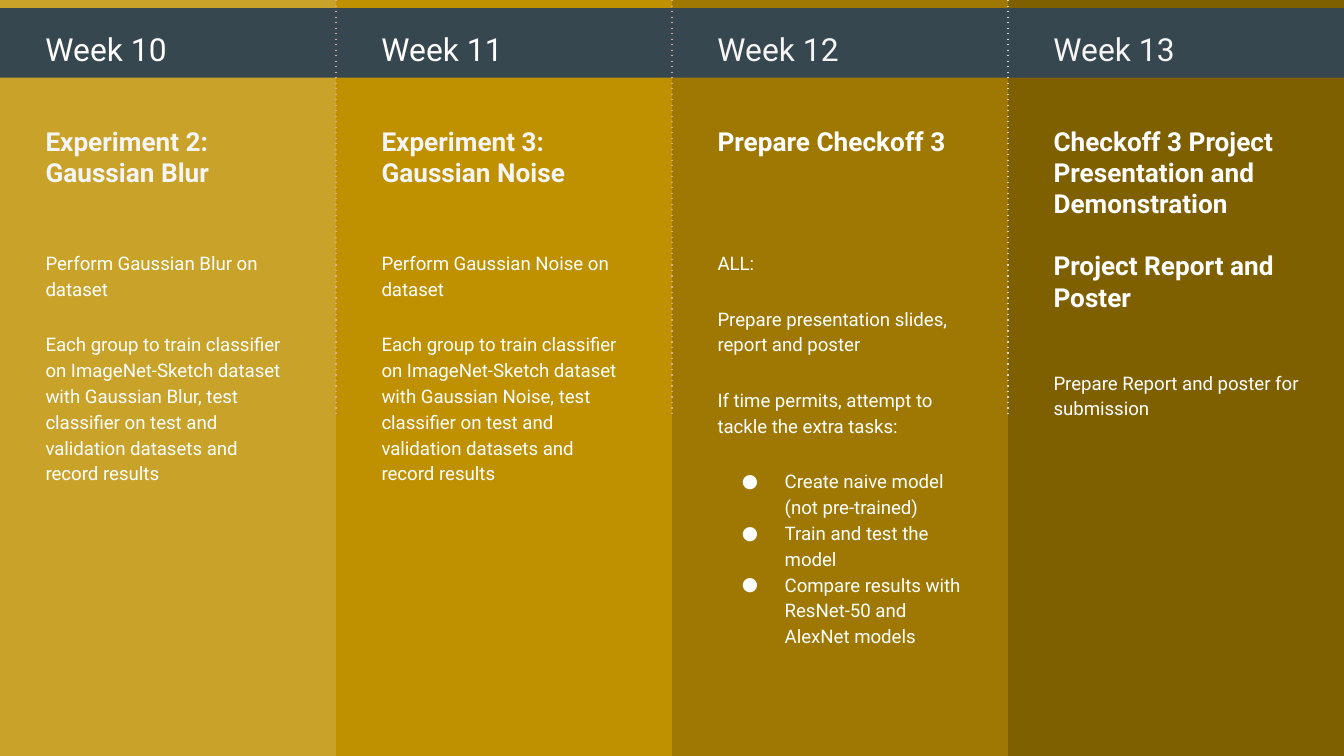
from lxml import etree
from pptx import Presentation, util as u
from pptx.dml.color import RGBColor
from pptx.enum import dml, shapes, text
from pptx.oxml.ns import qn

COLORS = {"slate": "37474F", "white": "FFFFFF", "smoke": "F5F5F5",
          "silver": "D9D9D9", "rose": "EDA29B", "gold": "C9A22A",
          "amber": "BF9000", "ochre": "9E7802", "bronze": "7F6000"}
WIDTH, HEIGHT = 720, 405
COLUMN = WIDTH / 4
STRIP_HEIGHT, HEADER_BOTTOM = 4.3, 41.6
TEXT_INSET, TEXT_WIDTH, MARGIN = 17.5, 146, 7.2
DIVIDER_END = 223
BULLET_INDENT, BULLET_HANG = 36, 23

FORMATS = {
    "week": {"font": {"size": u.Pt(17)},
             "para": {"line_spacing": 1.15}},
    "title": {"font": {"size": u.Pt(14), "bold": True},
              "para": {"space_before": u.Pt(16.4)}},
    "body": {"font": {"size": u.Pt(10)},
             "para": {"line_spacing": 1.15, "space_before": u.Pt(16)}},
    "bullet": {"font": {"size": u.Pt(10)},
               "para": {"line_spacing": 1.15, "space_before": u.Pt(0)}},
}


def rgb(name):
    return RGBColor.from_string(COLORS[name])


def set_all(target, values):
    for name, value in values.items():
        setattr(target, name, value)


class SlideBuilder:
    """Holds the font, the slide and the group that new elements go into."""

    def __init__(self, slide, font="Roboto"):
        self.slide = slide
        self.font = font
        self.shapes = slide.shapes

    def background(self, color):
        fill = self.slide.background.fill
        fill.solid()
        fill.fore_color.rgb = rgb(color)

    def start_group(self):
        self.shapes = self.slide.shapes.add_group_shape().shapes

    def panel(self, left, top, width, height, color):
        shape = self.shapes.add_shape(shapes.MSO_SHAPE.RECTANGLE,
                                      *map(u.Pt, (left, top, width, height)))
        shape.shadow.inherit = False
        shape.fill.solid()
        shape.fill.fore_color.rgb = rgb(color)
        shape.line.fill.background()

    def divider(self, left, color):
        line = self.shapes.add_connector(
            shapes.MSO_CONNECTOR.STRAIGHT,
            *map(u.Pt, (left, 0, left, DIVIDER_END)))
        line.line.color.rgb = rgb(color)
        set_all(line.line, {"width": u.Pt(0.75),
                            "dash_style": dml.MSO_LINE.ROUND_DOT})
        # The preset "dot" has no public enum member of its own.
        line.line._ln.find(qn("a:prstDash")).set("val", "dot")
        etree.SubElement(line._element.spPr, qn("a:effectLst"))

    def bullet(self, para):
        props = para._p.get_or_add_pPr()
        props.set("marL", str(u.Pt(BULLET_INDENT)))
        props.set("indent", str(-u.Pt(BULLET_HANG)))
        tint = etree.SubElement(props, qn("a:buClr"))
        etree.SubElement(tint, qn("a:srgbClr"), val=COLORS["white"])
        etree.SubElement(props, qn("a:buFont"), typeface=self.font)
        etree.SubElement(props, qn("a:buChar"), char="●")

    def text(self, left, top, width, height, lines, color):
        """Write (format name, wording) lines; the first bullet keeps a gap."""
        box = self.shapes.add_textbox(*map(u.Pt, (left, top, width, height)))
        frame = box.text_frame
        set_all(frame, {"word_wrap": True,
                        "vertical_anchor": text.MSO_ANCHOR.TOP,
                        "margin_left": u.Pt(MARGIN), "margin_right": u.Pt(MARGIN),
                        "margin_top": u.Pt(MARGIN), "margin_bottom": u.Pt(MARGIN)})
        previous = None
        for kind, wording in lines:
            para = frame.paragraphs[0] if previous is None else frame.add_paragraph()
            if kind == "bullet":
                self.bullet(para)
            set_all(para, FORMATS[kind]["para"])
            if previous is None:
                para.space_before = u.Pt(0)
            elif kind == "bullet" and previous != "bullet":
                para.space_before = u.Pt(16)
            span = para.add_run()
            span.text = wording
            set_all(span.font, {"name": self.font, **FORMATS[kind]["font"]})
            span.font.color.rgb = rgb(color)
            previous = kind

    def week(self, index, week):
        left = index * COLUMN
        text_left = left + TEXT_INSET - 0.2
        self.start_group()
        self.panel(left, HEADER_BOTTOM, COLUMN, HEIGHT - HEADER_BOTTOM, week["fill"])
        self.panel(left, 0, COLUMN, STRIP_HEIGHT, week["fill"])
        self.text(text_left, 5.8, 100, 20, [("week", week["name"])],
                  week["name_color"])
        self.text(text_left, 59.8, TEXT_WIDTH, week["title_height"],
                  [("title", line) for line in week["titles"]], week["title_color"])
        self.text(text_left, week["body_top"], TEXT_WIDTH, week["body_height"],
                  week["body"], "white")
        if week["divider"]:
            self.divider(left + COLUMN, week["divider"])


def experiment(number, noise, **style):
    """Describe a week in which one kind of distortion is tested."""
    return {"titles": [f"Experiment {number}: {noise}"],
            "name_color": "white", "title_color": "smoke",
            "divider": "rose", "body_top": 126,
            "body": [("body", f"Perform {noise} on dataset"),
                     ("body", "Each group to train classifier on ImageNet-Sketch "
                              f"dataset with {noise}, test classifier on test and "
                              "validation datasets and record results")],
            **style}


WEEKS = [
    experiment(2, "Gaussian Blur", name="Week 10", fill="gold",
               title_height=98.5, body_height=185),
    experiment(3, "Gaussian Noise", name="Week 11", fill="amber",
               title_height=62.5, body_height=194.5),
    {"name": "Week 12", "fill": "ochre", "name_color": "smoke",
     "title_color": "white", "divider": "silver",
     "titles": ["Prepare Checkoff 3"], "title_height": 62.5,
     "body_top": 126, "body_height": 251.5,
     "body": [("body", "ALL:"),
              ("body", "Prepare presentation slides, report and poster"),
              ("body", "If time permits, attempt to tackle the extra tasks:"),
              ("bullet", "Create naive model (not pre-trained)"),
              ("bullet", "Train and test the model"),
              ("bullet", "Compare results with ResNet-50 and AlexNet models")]},
    {"name": "Week 13", "fill": "bronze", "name_color": "smoke",
     "title_color": "white", "divider": None,
     "titles": ["Checkoff 3 Project Presentation and Demonstration",
                "Project Report and Poster"], "title_height": 112.5,
     "body_top": 190, "body_height": 78.5,
     "body": [("body", "Prepare Report and poster for submission")]},
]


def main():
    deck = Presentation()
    set_all(deck, {"slide_width": u.Pt(WIDTH), "slide_height": u.Pt(HEIGHT)})
    page = SlideBuilder(deck.slides.add_slide(deck.slide_layouts[6]))
    page.background("slate")
    # Right to left, so each divider lies over the next column.
    for index, week in reversed(list(enumerate(WEEKS))):
        page.week(index, week)
    deck.save("out.pptx")


if __name__ == "__main__":
    main()
